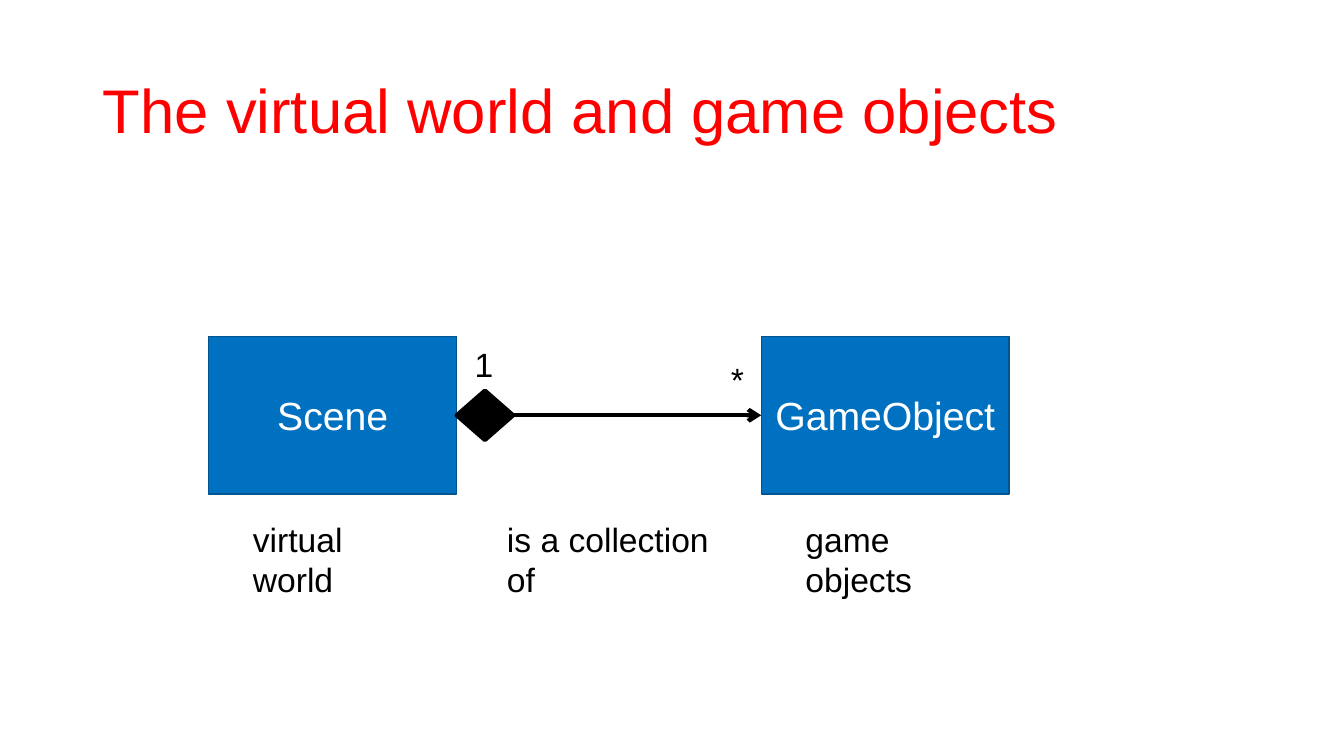
from dataclasses import dataclass

from lxml import etree
from pptx import Presentation
from pptx.dml.color import RGBColor
from pptx.enum.shapes import MSO_CONNECTOR, MSO_SHAPE
from pptx.enum.text import MSO_ANCHOR, MSO_AUTO_SIZE, PP_ALIGN
from pptx.oxml.ns import qn
from pptx.util import Inches, Pt

RECT, DIAMOND = MSO_SHAPE.RECTANGLE, MSO_SHAPE.DIAMOND
STRAIGHT = MSO_CONNECTOR.STRAIGHT
MIDDLE, TOP = MSO_ANCHOR.MIDDLE, MSO_ANCHOR.TOP
LEFT, CENTER = PP_ALIGN.LEFT, PP_ALIGN.CENTER
SIDE_LEFT, SIDE_RIGHT = 1, 3


@dataclass(frozen=True)
class Theme:
    font: str = "Arial"
    red: str = "FF0000"
    blue: str = "0070C0"
    blue_edge: str = "00538E"
    black: str = "000000"
    white: str = "FFFFFF"
    title: int = 44
    class_name: int = 28
    label: int = 24


THEME = Theme()

# Class diagram geometry in inches
CLASS_W, CLASS_H, CLASS_TOP = 2.46, 1.56, 3.34
SCENE_X, OBJECT_X = 2.07, 7.55
AXIS_Y = CLASS_TOP + CLASS_H / 2
DIAMOND_W, DIAMOND_H = 0.56, 0.49
LABEL_H, CAPTION_Y = 0.5, 5.1


def set_text(tf, text, *, size, color, align=LEFT, anchor=TOP, spacing=1.0):
    tf.word_wrap = True
    tf.vertical_anchor = anchor
    p = tf.paragraphs[0]
    p.alignment = align
    p.line_spacing = spacing
    r = p.add_run()
    r.text = text
    r.font.name = THEME.font
    r.font.size = Pt(size)
    r.font.color.rgb = RGBColor.from_string(color)


def set_line(line, color, width):
    line.color.rgb = RGBColor.from_string(color)
    line.width = Pt(width)


def add_title(s, text):
    sp = s.shapes.title
    sp.left, sp.top = Inches(0.92), Inches(0.4)
    sp.width, sp.height = Inches(11.5), Inches(1.45)
    set_text(sp.text_frame, text, size=THEME.title, color=THEME.red,
             anchor=MIDDLE, spacing=0.9)


def add_block(s, kind, x, y, w, h, *, fill, edge, width):
    sp = s.shapes.add_shape(kind, Inches(x), Inches(y), Inches(w), Inches(h))
    sp.shadow.inherit = False
    sp.fill.solid()
    sp.fill.fore_color.rgb = RGBColor.from_string(fill)
    set_line(sp.line, edge, width)
    return sp


def add_class(s, name, x):
    sp = add_block(s, RECT, x, CLASS_TOP, CLASS_W, CLASS_H,
                   fill=THEME.blue, edge=THEME.blue_edge, width=1)
    set_text(sp.text_frame, name, size=THEME.class_name, color=THEME.white,
             align=CENTER, anchor=MIDDLE)
    return sp


def add_arrow(s, start, end):
    line = s.shapes.add_connector(STRAIGHT, 0, 0, 0, 0)
    line.begin_connect(start, SIDE_RIGHT)
    line.end_connect(end, SIDE_LEFT)
    set_line(line.line, THEME.black, 3)
    ln = line.line._get_or_add_ln()
    etree.SubElement(ln, qn("a:tailEnd"), type="arrow")
    etree.SubElement(ln.getparent(), qn("a:effectLst"))


def add_label(s, text, x, y, w):
    sp = s.shapes.add_textbox(Inches(x), Inches(y), Inches(w), Inches(LABEL_H))
    set_text(sp.text_frame, text, size=THEME.label, color=THEME.black)
    sp.text_frame.auto_size = MSO_AUTO_SIZE.SHAPE_TO_FIT_TEXT


def main():
    prs = Presentation()
    prs.slide_width, prs.slide_height = Inches(13.33), Inches(7.5)
    s = prs.slides.add_slide(prs.slide_layouts[5])
    add_title(s, "The virtual world and game objects")

    # Classes and the composition between them
    add_class(s, "Scene", SCENE_X)
    game_object = add_class(s, "GameObject", OBJECT_X)
    diamond = add_block(s, DIAMOND, SCENE_X + CLASS_W, AXIS_Y - DIAMOND_H / 2,
                        DIAMOND_W, DIAMOND_H,
                        fill=THEME.black, edge=THEME.black, width=3)
    add_arrow(s, diamond, game_object)

    # Captions below the diagram, then multiplicities
    for text, x, y, w in (
        ("virtual world", 2.41, CAPTION_Y, 1.77),
        ("game objects", 7.89, CAPTION_Y, 2.02),
        ("is a collection of", 4.93, CAPTION_Y, 2.38),
        ("1", 4.61, 3.36, 0.4),
        ("*", 7.15, 3.51, 0.4),
    ):
        add_label(s, text, x, y, w)

    prs.save("out.pptx")


if __name__ == "__main__":
    main()
